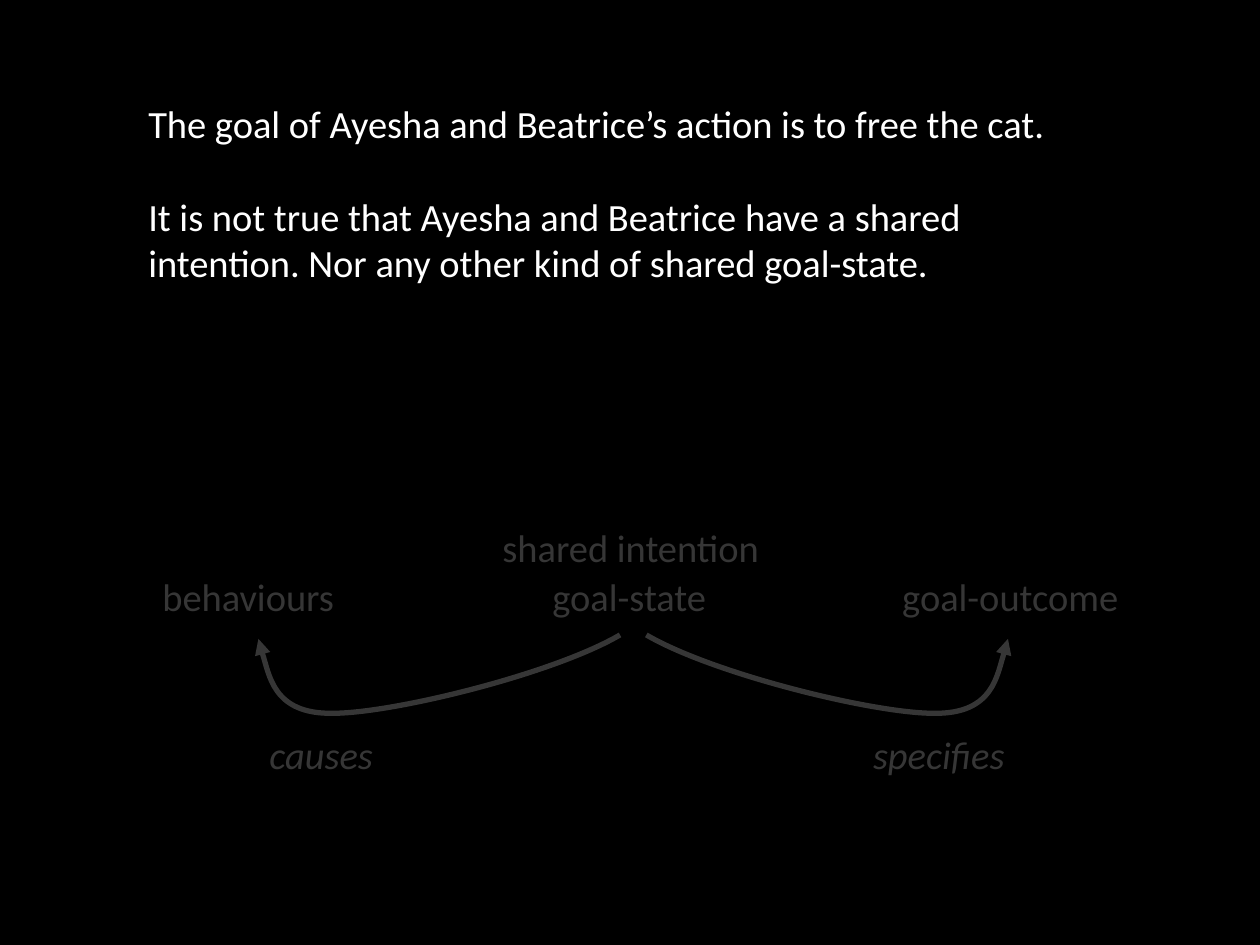
from dataclasses import dataclass

from lxml.etree import SubElement
from pptx import Presentation
from pptx.dml.color import RGBColor
from pptx.enum.shapes import MSO_SHAPE
from pptx.enum.text import MSO_AUTO_SIZE, PP_ALIGN
from pptx.oxml.ns import qn
from pptx.slide import Slide
from pptx.util import Cm, Pt

WHITE = RGBColor(0xFF, 0xFF, 0xFF)
BLACK = RGBColor(0x00, 0x00, 0x00)
FONT = {"name": "Calibri", "size": Pt(22)}
ROW_LEFT, ROW_PITCH, ROW_TOP = 2.34, 7.68, 11.43
MIRROR_SUM = 25.53  # x of a left point plus x of its mirrored point
VEIL_ALPHA = 79000

Point = tuple[float, float]


@dataclass(frozen=True)
class TextBlock:
    """Paragraphs in a box; lengths in centimetres."""
    paragraphs: tuple[str, ...]
    left: float
    top: float
    width: float = 5.33
    height: float = 1.19
    italic: bool = False
    align: PP_ALIGN = PP_ALIGN.CENTER


STATEMENT = TextBlock(
    ("The goal of Ayesha and Beatrice’s action is to free the cat.",
     "It is not true that Ayesha and Beatrice have a shared intention. "
     "Nor any other kind of shared goal-state."),
    2.74, 1.9, 18.62, 4.95, align=PP_ALIGN.LEFT)
STAGES = [TextBlock((name,), ROW_LEFT + ROW_PITCH * column, ROW_TOP)
          for column, name in enumerate(("behaviours", "goal-state", "goal-outcome"))]
LABELS = [
    *STAGES,
    TextBlock(("causes",), 3.81, 14.61, italic=True),
    TextBlock(("specifies",), 16.26, 14.61, italic=True),
    TextBlock(("shared intention",), 8.69, 10.44, 8.05),
]
CAUSES_CURVE: list[Point] = [
    (12.5, 12.8),
    (11.15, 13.59), (7.92, 14.38), (6.71, 14.38),
    (5.49, 14.4), (5.21, 12.88), (5.21, 12.88),
]
SPECIFIES_CURVE: list[Point] = [(MIRROR_SUM - x, y) for x, y in CAUSES_CURVE]


def add_text(page: Slide, block: TextBlock) -> None:
    box = page.shapes.add_textbox(
        Cm(block.left), Cm(block.top), Cm(block.width), Cm(block.height))
    frame = box.text_frame
    frame.word_wrap = True
    frame.auto_size = MSO_AUTO_SIZE.SHAPE_TO_FIT_TEXT
    for index, text in enumerate(block.paragraphs):
        para = frame.paragraphs[0] if index == 0 else frame.add_paragraph()
        para.alignment = block.align
        if index:
            para.space_before = Pt(26.5)
        span = para.add_run()
        span.text = text
        for key, value in {**FONT, "italic": block.italic}.items():
            setattr(span.font, key, value)
        span.font.color.rgb = WHITE


def add_curved_arrow(page: Slide, points: list[Point]) -> None:
    """Draw a start point followed by triples of Bézier points."""
    start, *rest = [(Cm(x), Cm(y)) for x, y in points]
    builder = page.shapes.build_freeform(*start)
    builder.add_line_segments(rest, close=False)
    curve = builder.convert_to_shape()
    curve.shadow.inherit = False
    curve.fill.background()
    curve.line.color.rgb = WHITE
    curve.line.width = Pt(3)

    outline = next(curve.element.iter(qn("a:path")))
    segments = outline.findall(qn("a:lnTo"))
    for first in range(0, len(segments), 3):
        bezier = SubElement(outline, qn("a:cubicBezTo"))
        for segment in segments[first:first + 3]:
            bezier.append(segment[0])
            outline.remove(segment)
    SubElement(curve.line._get_or_add_ln(), qn("a:tailEnd"), type="triangle")


def add_veil(page: Slide) -> None:
    """Dim the diagram with a translucent black rectangle."""
    veil = page.shapes.add_shape(
        MSO_SHAPE.RECTANGLE, Cm(2.31), Cm(9.73), Cm(21.01), Cm(6.81))
    veil.shadow.inherit = False
    veil.line.fill.background()
    veil.fill.solid()
    veil.fill.fore_color.rgb = BLACK
    color = next(veil.element.spPr.iter(qn("a:srgbClr")))
    SubElement(color, qn("a:alpha"), val=str(VEIL_ALPHA))


def main() -> None:
    deck = Presentation()
    deck.slide_width, deck.slide_height = Cm(25.4), Cm(19.05)
    page = deck.slides.add_slide(deck.slide_layouts[6])
    page.background.fill.solid()
    page.background.fill.fore_color.rgb = BLACK

    for block in (*LABELS, STATEMENT):
        add_text(page, block)
    for points in (CAUSES_CURVE, SPECIFIES_CURVE):
        add_curved_arrow(page, points)
    add_veil(page)
    deck.save("out.pptx")


if __name__ == "__main__":
    main()
